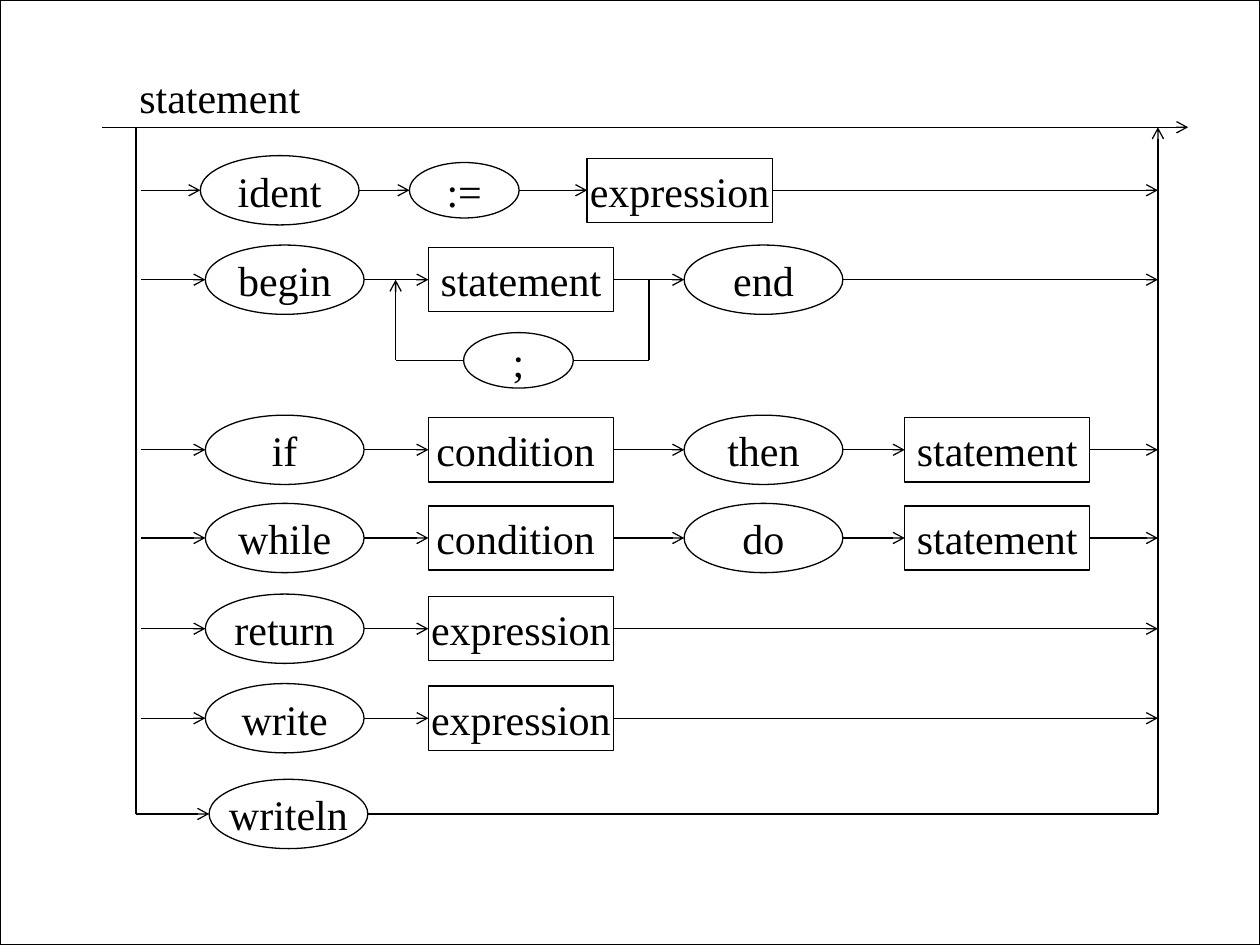
from lxml.etree import SubElement
from pptx import Presentation
from pptx.dml.color import RGBColor
from pptx.enum.shapes import MSO_CONNECTOR, MSO_SHAPE
from pptx.enum.text import MSO_ANCHOR, MSO_AUTO_SIZE, PP_ALIGN
from pptx.oxml.ns import qn
from pptx.util import Inches, Pt

WIDE, HIGH = 10, 7.5
INK, PAPER, CREAM = "000000", "FFFFFF", "FFFFCC"
FONT = {"name": "Times New Roman", "size": Pt(24), "bold": False}
FRAME = {"word_wrap": False, "vertical_anchor": MSO_ANCHOR.MIDDLE}
HEAD = {"word_wrap": True, "vertical_anchor": MSO_ANCHOR.TOP,
        "auto_size": MSO_AUTO_SIZE.SHAPE_TO_FIT_TEXT}
PADS = {"margin_left": Inches(0.1), "margin_right": Inches(0.1),
        "margin_top": Inches(0.05), "margin_bottom": Inches(0.05)}
TERM = (MSO_SHAPE.OVAL, 1.26, 0.55)
SIGN = (MSO_SHAPE.OVAL, 0.87, 0.44)
RULE = (MSO_SHAPE.RECTANGLE, 1.47, 0.51)
KINDS = {":=": SIGN, ";": SIGN, "expression": RULE,
         "statement": RULE, "condition ": RULE}
COLS = (1.63, 3.4, 5.43, 7.18)
TOP, LEFT, RIGHT, ENTRY = 1.01, 1.08, 9.19, 1.12
LAST = 6.46
ROWS = (
    (1.51, (1.59, 3.25, 4.66), ("ident", ":=", "expression")),
    (2.22, COLS, ("begin", "statement", "end")),
    (3.57, COLS, ("if", "condition ", "then", "statement")),
    (4.27, COLS, ("while", "condition ", "do", "statement")),
    (4.99, COLS, ("return", "expression")),
    (5.7, COLS, ("write", "expression")),
)


def tint(code):
    """Turn a hex string into a colour."""
    return RGBColor.from_string(code)


def apply(item, look):
    """Set each attribute in a dict of format values."""
    for key, value in look.items():
        setattr(item, key, value)


def label(shape, text, look):
    """Write centred text in a shape."""
    frame = shape.text_frame
    apply(frame, {**PADS, **look})
    para = frame.paragraphs[0]
    para.alignment = PP_ALIGN.CENTER
    run = para.add_run()
    run.text = text
    apply(run.font, FONT)
    run.font.color.rgb = tint(INK)


def block(slide, form, left, top, wide, high):
    """Add a white shape with a thin black outline."""
    shape = slide.shapes.add_shape(form, *map(Inches, (left, top, wide, high)))
    shape.shadow.inherit = False
    shape.fill.solid()
    shape.fill.fore_color.rgb = tint(PAPER)
    shape.line.color.rgb = tint(INK)
    shape.line.width = Pt(0.75)
    return shape


def node(slide, left, mid, text):
    """Add a labelled symbol centred on a row and return its right edge."""
    form, wide, high = KINDS.get(text, TERM)
    label(block(slide, form, left, mid - high / 2, wide, high), text, FRAME)
    return left + wide


def wire(slide, *ends, arrow=True):
    """Join points with straight lines, with an arrowhead at the end."""
    for start, stop in zip(ends, ends[1:]):
        line = slide.shapes.add_connector(
            MSO_CONNECTOR.STRAIGHT, *map(Inches, start + stop))
        line.line.color.rgb = tint(INK)
        line.line.width = Pt(0.75)
        if arrow and stop == ends[-1]:
            SubElement(line.line._get_or_add_ln(), qn("a:tailEnd"), type="arrow")
        SubElement(line.element.spPr, qn("a:effectLst"))


def track(slide, mid, lefts, words):
    """Draw one row of symbols with arrows between them."""
    edge = ENTRY
    for left, word in zip(lefts, words):
        wire(slide, (edge, mid), (left, mid))
        edge = node(slide, left, mid, word)
    wire(slide, (edge, mid), (RIGHT, mid))


def loop(slide):
    """Draw the semicolon path that repeats a statement."""
    mid, low, left = ROWS[1][0], 2.86, 3.68
    edge = node(slide, left, low, ";")
    wire(slide, (edge, low), (5.15, low), (5.15, mid), arrow=False)
    wire(slide, (left, low), (3.14, low), (3.14, mid))


def rails(slide):
    """Draw the main line, its branch, the last row and the way back."""
    wire(slide, (0.81, TOP), (9.43, TOP))
    wire(slide, (LEFT, TOP), (LEFT, LAST), (1.66, LAST))
    edge = node(slide, 1.66, LAST, "writeln")
    wire(slide, (edge, LAST), (RIGHT, LAST), (RIGHT, TOP))


def title(slide, text):
    """Place and format the title."""
    head = slide.shapes.title
    apply(head, dict(zip(("left", "top", "width", "height"),
                         map(Inches, (0.73, 0.52, 2.03, 0.5)))))
    label(head, text, HEAD)


def main():
    """Build the syntax diagram."""
    deck = Presentation()
    deck.slide_width, deck.slide_height = Inches(WIDE), Inches(HIGH)
    slide = deck.slides.add_slide(deck.slide_layouts[5])
    slide.background.fill.solid()
    slide.background.fill.fore_color.rgb = tint(CREAM)
    block(slide, MSO_SHAPE.RECTANGLE, 0, 0, WIDE, HIGH)
    slide.shapes.element.append(slide.shapes.title.element)
    title(slide, "statement")
    for row in ROWS:
        track(slide, *row)
    loop(slide)
    rails(slide)
    deck.save("out.pptx")


if __name__ == "__main__":
    main()
